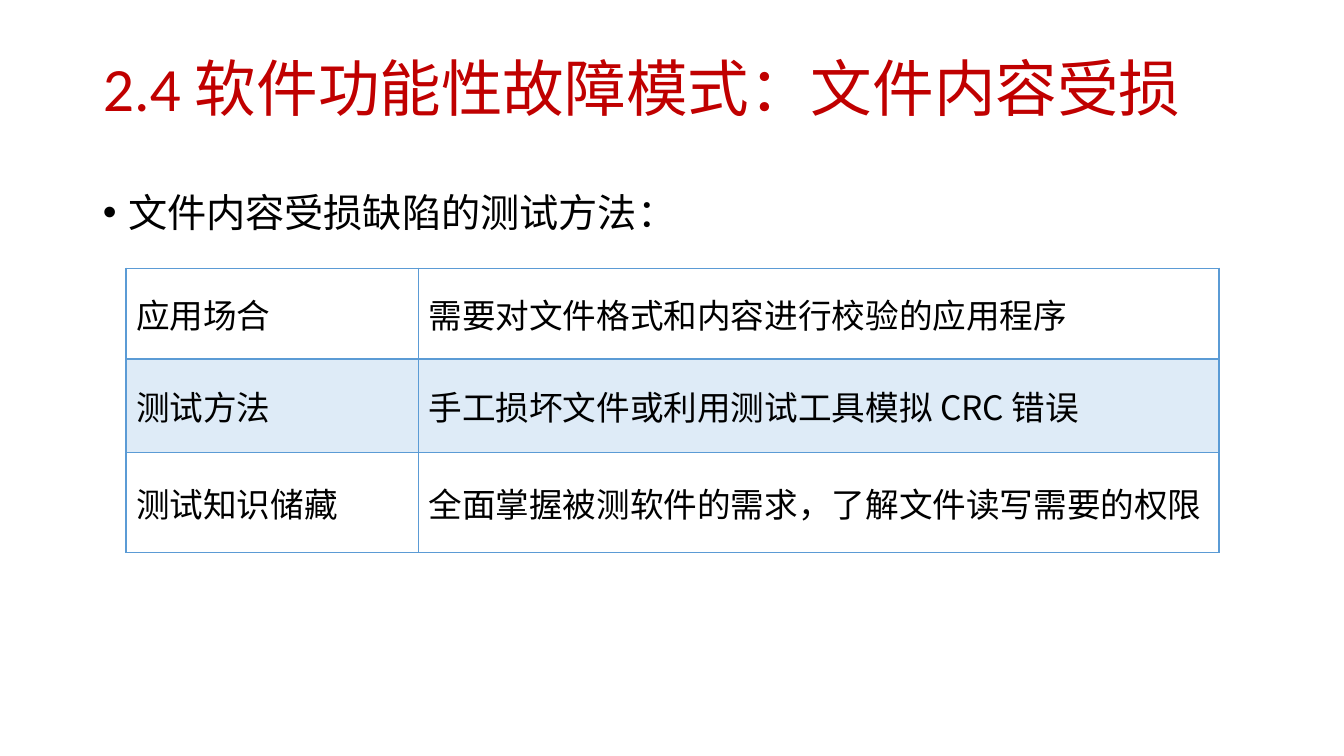
import lxml.etree
import pptx
import pptx.dml.color
import pptx.enum.text
import pptx.oxml.ns
import pptx.util
from pptx.util import Inches

BLUE = "5B9BD5"
PALE_BLUE = "DEEBF7"
CHINESE_FONT = "Noto Sans CJK SC"
COLUMN_WIDTHS = [2.9, 7.94]
ROW_HEIGHTS = [0.9, 0.93, 0.99]
ROWS = [
    ("应用场合", "需要对文件格式和内容进行校验的应用程序"),
    ("测试方法", "手工损坏文件或利用测试工具模拟 CRC 错误"),
    ("测试知识储藏", "全面掌握被测软件的需求，了解文件读写需要的权限"),
]


def color(value):
    """Return the colour for a hex string."""
    return pptx.dml.color.RGBColor.from_string(value)


def add_element(parent, tag, **attributes):
    """Append a DrawingML element with the given attributes."""
    return lxml.etree.SubElement(parent, pptx.oxml.ns.qn(tag), attributes)


def write_text(para, text, size, ink="000000", latin=CHINESE_FONT):
    """Add a formatted run to a left-aligned paragraph."""
    para.alignment = pptx.enum.text.PP_ALIGN.LEFT
    span = para.add_run()
    span.text = text
    formats = {"size": pptx.util.Pt(size), "bold": False, "name": latin}
    for name, value in formats.items():
        setattr(span.font, name, value)
    span.font.color.rgb = color(ink)
    add_element(span._r.get_or_add_rPr(), "a:ea", typeface=CHINESE_FONT)


def place(shape, left, top, width, height):
    """Move and size a placeholder."""
    bounds = {"left": left, "top": top, "width": width, "height": height}
    for name, value in bounds.items():
        setattr(shape, name, Inches(value))


def add_title(slide, text):
    """Fill the title placeholder."""
    title = slide.shapes.title
    place(title, 0.92, 0.4, 11.5, 1.02)
    title.text_frame.vertical_anchor = pptx.enum.text.MSO_ANCHOR.MIDDLE
    para = title.text_frame.paragraphs[0]
    para.line_spacing = 0.9
    write_text(para, text, 44, "C00000", "Calibri")


def add_bullet(slide, text):
    """Fill the body placeholder with one bulleted line."""
    body = slide.placeholders[1]
    place(body, 0.92, 1.68, 11.5, 5.07)
    para = body.text_frame.paragraphs[0]
    properties = para._p.get_or_add_pPr()
    properties.set("marL", str(Inches(0.25)))
    properties.set("indent", str(Inches(-0.25)))
    add_element(properties, "a:buFont", typeface="Arial")
    add_element(properties, "a:buChar", char="•")
    para.line_spacing = 1.3
    para.space_before = pptx.util.Pt(0)
    write_text(para, text, 28)


def add_borders(cell, widths):
    """Draw the cell borders from a dict of side and width in points."""
    properties = cell._tc.get_or_add_tcPr()
    for side, width in widths.items():
        line = add_element(properties, f"a:ln{side}", w=str(pptx.util.Pt(width)))
        add_element(add_element(line, "a:solidFill"), "a:srgbClr", val=BLUE)


def add_method_table(slide):
    """Add the table of test methods with a thick rule under its first row."""
    frame = slide.shapes.add_table(
        len(ROWS), len(COLUMN_WIDTHS), Inches(1.25), Inches(2.66),
        Inches(sum(COLUMN_WIDTHS)), Inches(sum(ROW_HEIGHTS)))
    table = frame.table
    table.first_row = table.horz_banding = False
    for column, width in zip(table.columns, COLUMN_WIDTHS):
        column.width = Inches(width)
    for index, (row, texts) in enumerate(zip(table.rows, ROWS)):
        row.height = Inches(ROW_HEIGHTS[index])
        top = 2 if index == 1 else 1
        bottom = 2 if index == 0 else 1
        for cell, text in zip(row.cells, texts):
            add_borders(cell, {"L": 1, "R": 1, "T": top, "B": bottom})
            cell.vertical_anchor = pptx.enum.text.MSO_ANCHOR.MIDDLE
            cell.fill.solid()
            cell.fill.fore_color.rgb = color(PALE_BLUE if index == 1 else "FFFFFF")
            write_text(cell.text_frame.paragraphs[0], text, 24)


def main():
    """Build and save the slide."""
    deck = pptx.Presentation()
    deck.slide_width = Inches(13.33)
    deck.slide_height = Inches(7.5)
    page = deck.slides.add_slide(deck.slide_layouts[1])
    add_title(page, "2.4 软件功能性故障模式：文件内容受损")
    add_bullet(page, "文件内容受损缺陷的测试方法：")
    add_method_table(page)
    deck.save("out.pptx")


if __name__ == "__main__":
    main()
